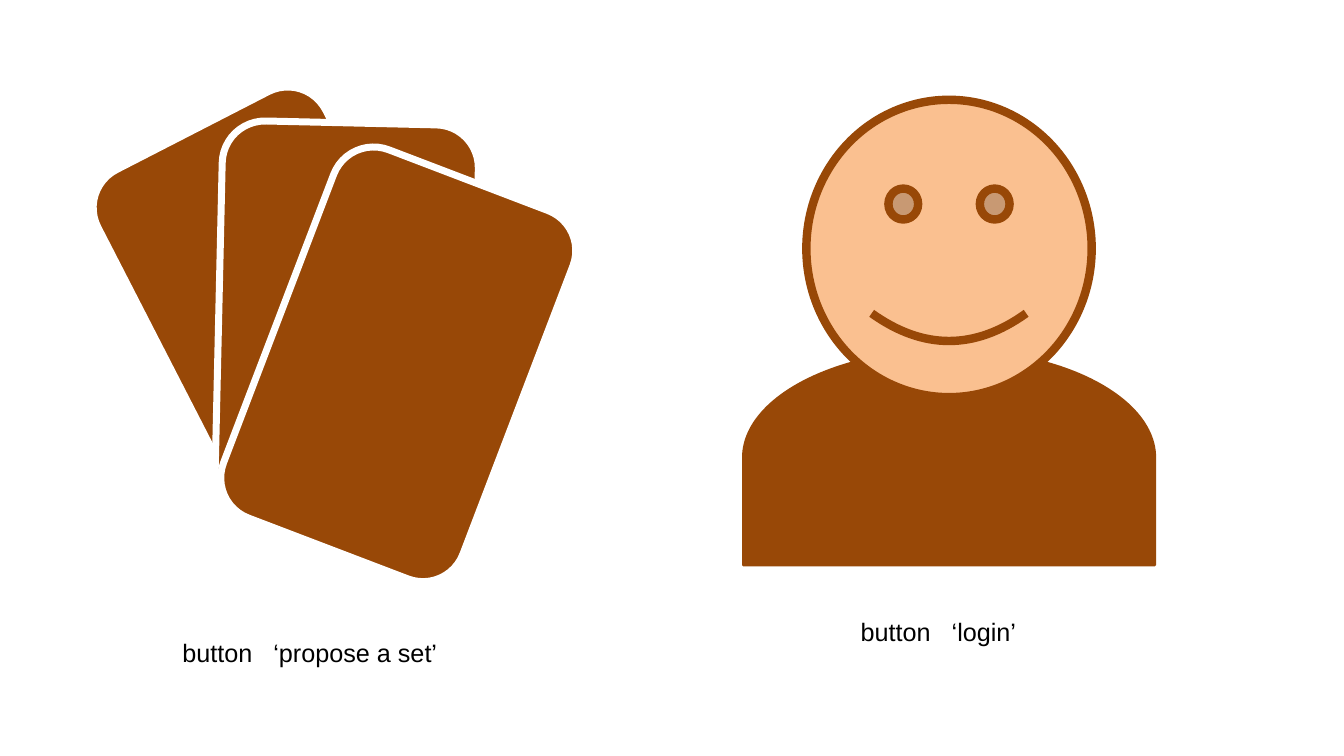
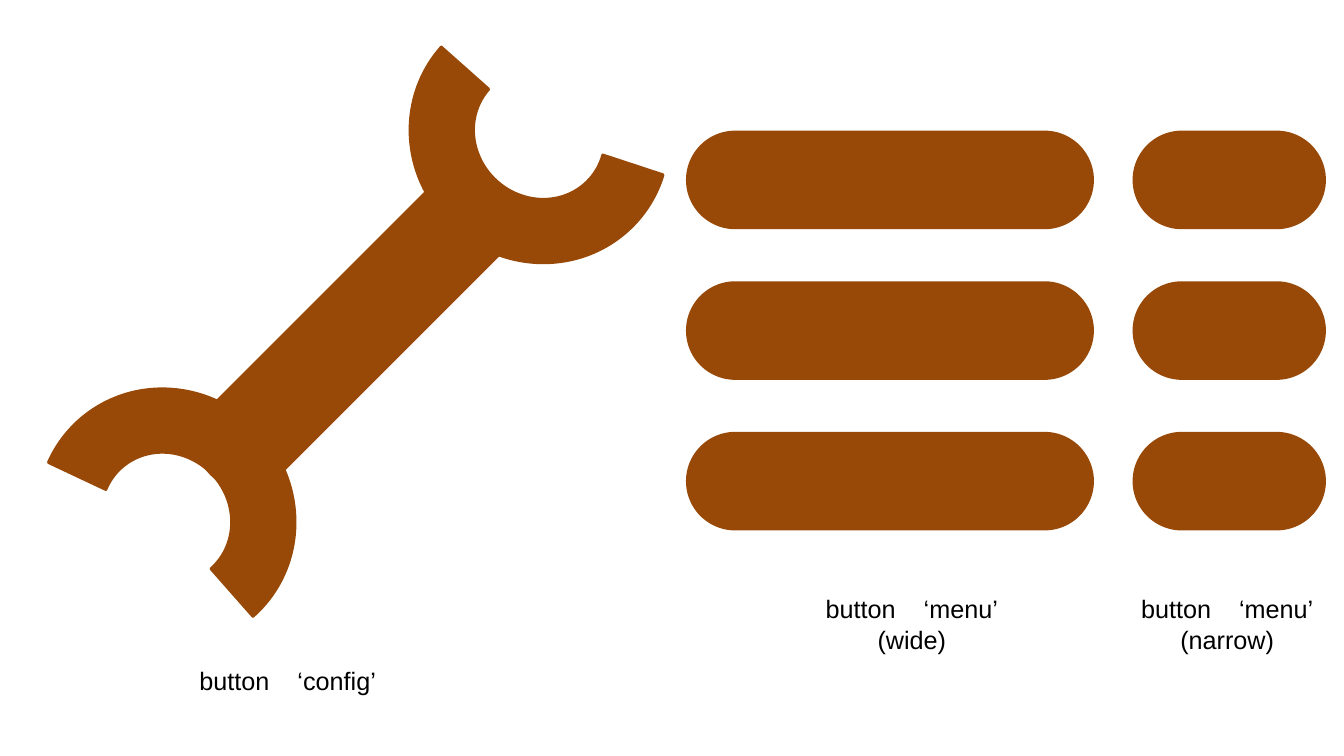
from lxml import etree
from pptx import Presentation
from pptx.dml.color import RGBColor
from pptx.enum.shapes import MSO_SHAPE
from pptx.enum.text import MSO_AUTO_SIZE, PP_ALIGN
from pptx.util import Pt

BROWN = RGBColor(0x98, 0x48, 0x07)
SKIN = RGBColor(0xFA, 0xC0, 0x90)
WHITE = RGBColor(0xFF, 0xFF, 0xFF)
BLACK = RGBColor(0x00, 0x00, 0x00)

ROUND_RECT = MSO_SHAPE.ROUNDED_RECTANGLE
DELAY = MSO_SHAPE.FLOWCHART_DELAY
SMILEY = MSO_SHAPE.SMILEY_FACE
BLOCK_ARC = MSO_SHAPE.BLOCK_ARC
FIT_SHAPE = MSO_AUTO_SIZE.SHAPE_TO_FIT_TEXT
LEFT, CENTER = PP_ALIGN.LEFT, PP_ALIGN.CENTER

FONT = {"name": "Arial", "size": Pt(18)}
SPACE_WIDTH = 5  # width in points of one space at 18 pt

CARD_SIZE = (183, 281.5)
CARDS = [(110.2, 77.8, 332.8), (156.2, 87.8, 1.3), (193, 119.5, 20.9)]
BAR_HEIGHT, BAR_TOP, BAR_STEP, BAR_COUNT = 68.4, 94.3, 107.6, 3
WIDE, NARROW = 289.4, 136.1
JAW_SIZE = (187.2, 181.4)
JAWS = [(25.2, 279.4, 48.6), (291.6, 5, 221.6)]
JAW_ADJ = (93.983, 0, 0.25)


def set_attrs(obj, values):
    """Set each attribute of obj named in values."""
    for name, value in values.items():
        setattr(obj, name, value)


def add_part(group, kind, box, rot=0, adj=(), fill=BROWN, line=BROWN, weight=2):
    """Add one filled, outlined preset shape to an icon."""
    sp = group.shapes.add_shape(kind, *(Pt(v) for v in box))
    sp.shadow.inherit = False
    sp.rotation = rot
    for i, value in enumerate(adj):
        sp.adjustments[i] = value
    sp.fill.solid()
    sp.fill.fore_color.rgb = fill
    sp.line.color.rgb = line
    sp.line.width = Pt(weight)


def add_run(p, text, spacing=0):
    """Add a caption run, with extra letter spacing in points."""
    r = p.add_run()
    r.text = text
    set_attrs(r.font, FONT)
    r.font.color.rgb = BLACK
    if spacing:
        r.font._element.set("spc", str(spacing * 100))


def add_caption(slide, box, name, spaces, note=None):
    """Write "button", a gap as wide as some spaces, the name and a note."""
    sp = slide.shapes.add_textbox(*(Pt(v) for v in box))
    tf = sp.text_frame
    set_attrs(tf, {"word_wrap": False, "auto_size": FIT_SHAPE})
    p = tf.paragraphs[0]
    p.alignment = CENTER if note else LEFT
    add_run(p, "button")
    add_run(p, " ", (spaces - 1) * SPACE_WIDTH)
    add_run(p, f"\u2018{name}\u2019")
    if note:
        p.add_line_break()
        add_run(p, note)


def add_cards(slide):
    """Draw the fan of cards."""
    group = slide.shapes.add_group_shape()
    for left, top, rot in CARDS:
        add_part(group, ROUND_RECT, (left, top, *CARD_SIZE), rot, (0.167,),
                 line=WHITE, weight=5)


def add_user(slide):
    """Draw the shoulders and the smiling head."""
    group = slide.shapes.add_group_shape()
    add_part(group, DELAY, (601.2, 180, 153.4, 293.8), 270)
    add_part(group, SMILEY, (576, 71.3, 203.8, 212.4), fill=SKIN, weight=6)


def add_wrench(slide):
    """Draw the handle and the two jaws."""
    group = slide.shapes.add_group_shape()
    add_part(group, ROUND_RECT, (108.7, 202.3, WIDE, BAR_HEIGHT), 135, (0.5,))
    for left, top, rot in JAWS:
        add_part(group, BLOCK_ARC, (left, top, *JAW_SIZE), rot, JAW_ADJ)


def add_menu(slide, left, width):
    """Draw evenly spaced menu bars."""
    group = slide.shapes.add_group_shape()
    for i in range(BAR_COUNT):
        box = (left, BAR_TOP + i * BAR_STEP, width, BAR_HEIGHT)
        add_part(group, ROUND_RECT, box, adj=(0.5,))


def main():
    """Build both slides and save them."""
    prs = Presentation()
    set_attrs(prs, {"slide_width": Pt(960), "slide_height": Pt(540)})
    blank = prs.slide_layouts[6]

    slide = prs.slides.add_slide(blank)
    add_cards(slide)
    add_caption(slide, (123.1, 451.4, 198, 29), "propose a set", 3)
    add_user(slide)
    add_caption(slide, (607.7, 437, 126.7, 29), "login", 3)

    slide = prs.slides.add_slide(blank)
    add_menu(slide, 491, WIDE)
    add_caption(slide, (581.8, 420.5, 139, 51), "menu", 4, "(wide)")
    add_wrench(slide)
    add_caption(slide, (135.4, 471.6, 141.8, 29), "config", 4)
    add_menu(slide, 810, NARROW)
    add_caption(slide, (807.1, 420.5, 139, 51), "menu", 4, "(narrow)")

    prs.save("out.pptx")


main()
